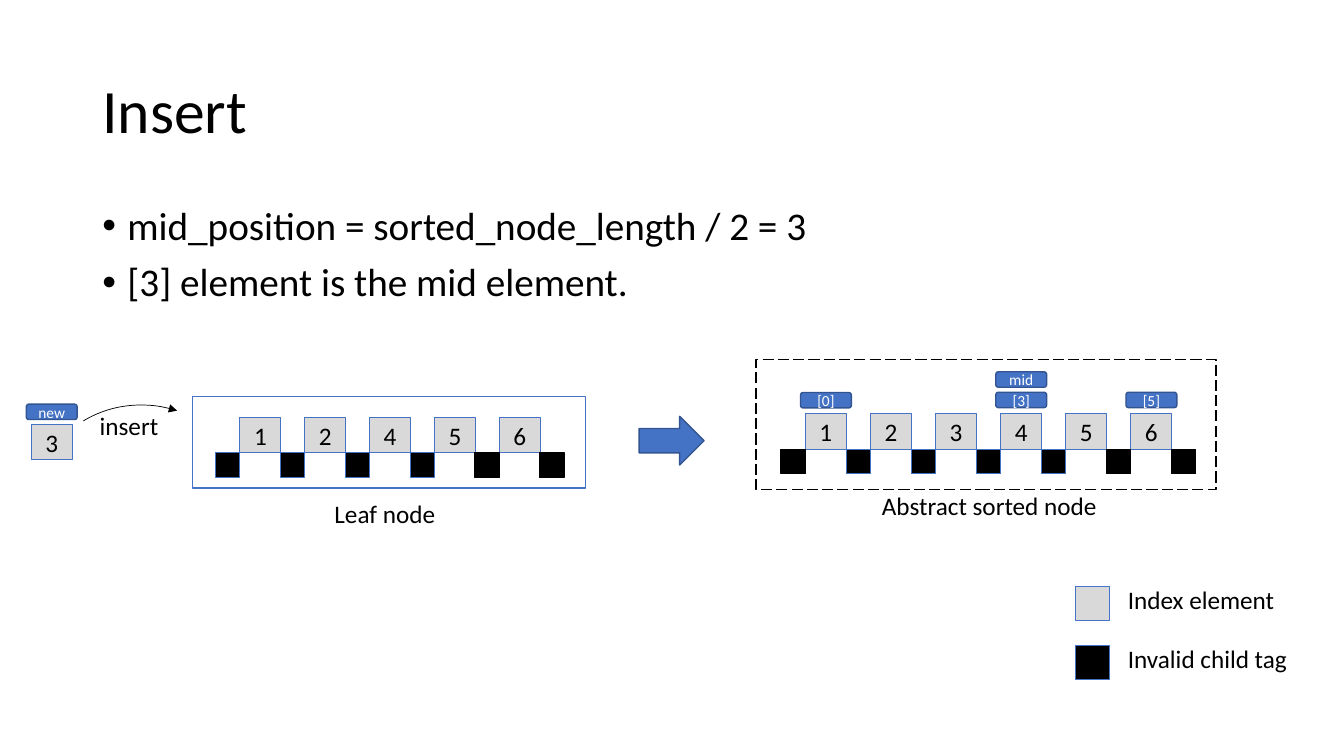
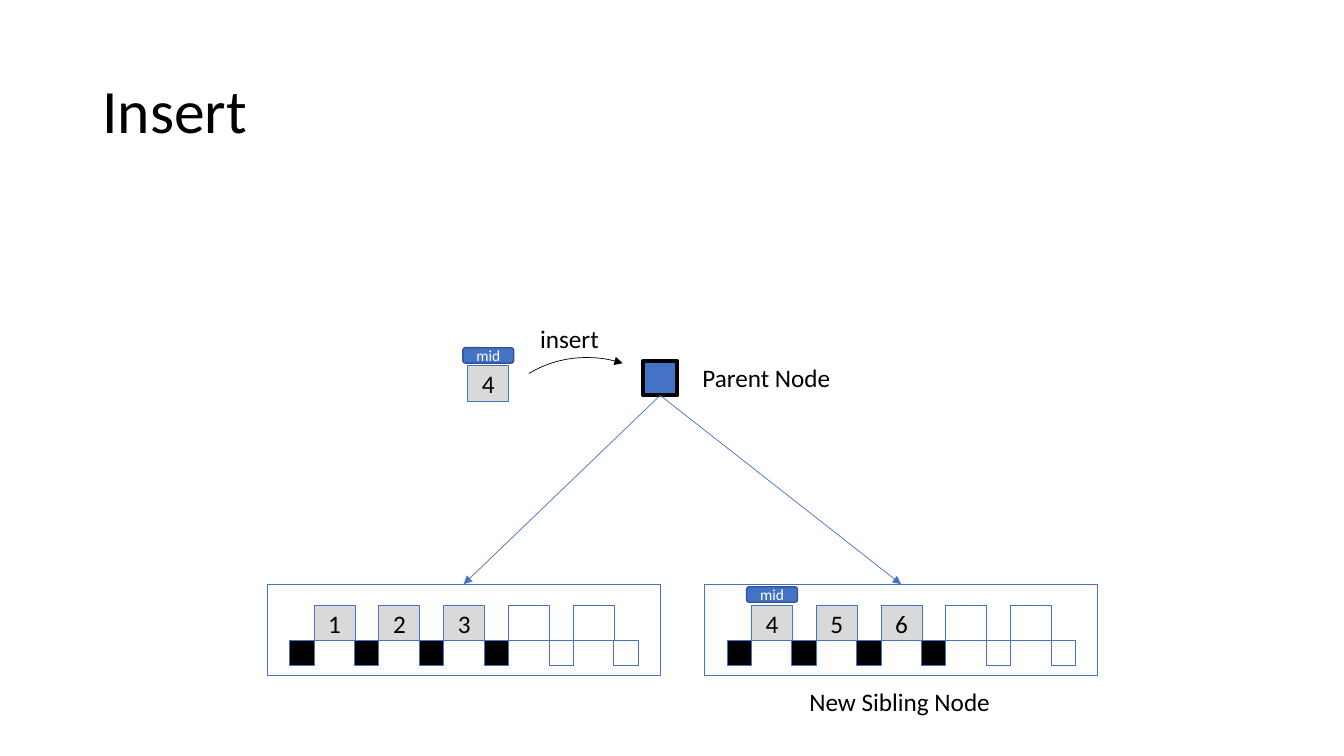
from lxml import etree
from pptx import Presentation
from pptx.dml.color import RGBColor
from pptx.enum.dml import MSO_LINE
from pptx.enum.shapes import MSO_CONNECTOR, MSO_SHAPE
from pptx.enum.text import MSO_ANCHOR, MSO_AUTO_SIZE, PP_ALIGN
from pptx.oxml.ns import qn
from pptx.util import Pt

RECTANGLE = MSO_SHAPE.RECTANGLE
ROUNDED = MSO_SHAPE.ROUNDED_RECTANGLE
ARC = MSO_SHAPE.ARC
RIGHT_ARROW = MSO_SHAPE.RIGHT_ARROW
STRAIGHT = MSO_CONNECTOR.STRAIGHT
LONG_DASH = MSO_LINE.LONG_DASH
TOP, MIDDLE = MSO_ANCHOR.TOP, MSO_ANCHOR.MIDDLE
LEFT, CENTER = PP_ALIGN.LEFT, PP_ALIGN.CENTER
FIT_TEXT = MSO_AUTO_SIZE.SHAPE_TO_FIT_TEXT

COLORS = {"black": "000000", "white": "FFFFFF", "gray": "D9D9D9",
          "blue": "4472C4", "navy": "325491"}
FONT = "Calibri"
ELEMENT_WIDTH, ELEMENT_HEIGHT = 29.3, 25.4
TAG_SIZE = 17.4
FRAME_WIDTH, FRAME_HEIGHT = 280.8, 65.5
FRAME_INSET_X, FRAME_INSET_Y = 33.6, 15
PITCH = 46.3
ABSTRACT_PITCH = 46.5
PILL_OVERHANG = 3.5

CELL = dict(shape_type=RECTANGLE, fill="gray", line="blue")
FRAME = dict(shape_type=RECTANGLE, line="blue")
PILL = dict(shape_type=ROUNDED, fill="blue", line="navy", weight=1, size=11, color="white")
PILL_SIZE = (ELEMENT_WIDTH + 2 * PILL_OVERHANG, 11)


def add_item(shapes, text, left, top, width, height, shape_type=None, fill=None, line=None,
             weight=0.75, size=18, color="black", wrap=False, anchor=TOP, bullet=False,
             line_spacing=None, space_before=0):
    box = (Pt(left), Pt(top), Pt(width), Pt(height))
    if shape_type is None:
        shape = shapes.add_textbox(*box)
    else:
        shape = shapes.add_shape(shape_type, *box)
        shape.shadow.inherit = False
        if fill:
            shape.fill.solid()
            shape.fill.fore_color.rgb = RGBColor.from_string(COLORS[fill])
        else:
            shape.fill.background()
        shape.line.color.rgb = RGBColor.from_string(COLORS[line])
        shape.line.width = Pt(weight)
    if not text:
        return shape
    frame = shape.text_frame
    frame.word_wrap = wrap
    if shape_type is not None:
        frame.margin_left = frame.margin_right = frame.margin_top = frame.margin_bottom = 0
    elif not wrap:
        frame.auto_size = FIT_TEXT
    frame.vertical_anchor = anchor if shape_type is None else MIDDLE
    frame.text = text
    for paragraph in frame.paragraphs:
        paragraph.alignment = LEFT if shape_type is None else CENTER
        paragraph.line_spacing = line_spacing
        paragraph.space_before = Pt(space_before)
        paragraph.font.name = FONT
        paragraph.font.size = Pt(size)
        paragraph.font.color.rgb = RGBColor.from_string(COLORS[color])
        if bullet:
            properties = paragraph._p.get_or_add_pPr()
            properties.set("marL", str(Pt(18)))
            properties.set("indent", str(-Pt(18)))
            bullet_font = etree.Element(qn("a:buFont"), typeface="Arial")
            bullet_mark = etree.Element(qn("a:buChar"), char="•")
            default_run = properties.find(qn("a:defRPr"))
            default_run.addprevious(bullet_font)
            default_run.addprevious(bullet_mark)
    return shape


def add_node(shapes, left, top, labels, pitch=PITCH, black_edges=()):
    for index, label in enumerate(labels):
        add_item(shapes, label, left + index * pitch, top, ELEMENT_WIDTH, ELEMENT_HEIGHT,
                 **{**CELL, "fill": "gray" if label else "white"})
    used = sum(1 for label in labels if label)
    for index in range(len(labels) + 1):
        add_item(shapes, "", left - TAG_SIZE + index * pitch, top + ELEMENT_HEIGHT,
                 TAG_SIZE, TAG_SIZE, shape_type=RECTANGLE,
                 fill="black" if index <= used else "white",
                 line="black" if index in black_edges else "blue")


presentation = Presentation()
presentation.slide_width, presentation.slide_height = Pt(960), Pt(540)
blank_layout = presentation.slide_layouts[6]

inserts = [
    {"element": ("3", 22.3, 303.1), "pill": ("new", 288.7),
     "arc": (23, 287.3), "caption": (64.1, 289.4)},
    {"element": ("4", 334.1, 261.4), "pill": ("mid", 248.4),
     "arc": (341.3, 253.4), "caption": (378.7, 227.5)},
]
slides = []
for insert in inserts:
    slide = presentation.slides.add_slide(blank_layout)
    slides.append(slide)
    add_item(slide.shapes, "Insert", 66, 28.8, 828, 104.4, size=44, wrap=True,
             anchor=MIDDLE, line_spacing=0.9)
    label, left, top = insert["element"]
    add_item(slide.shapes, label, left, top, ELEMENT_WIDTH, ELEMENT_HEIGHT, **CELL)
    label, top = insert["pill"]
    add_item(slide.shapes, label, left - PILL_OVERHANG, top, *PILL_SIZE, **PILL)
    arc = add_item(slide.shapes, "", *insert["arc"], 168.5, 183.6,
                   shape_type=ARC, line="black", weight=0.5)
    arc.adjustments[0] = 162
    arc.adjustments[1] = 188.39
    arc.rotation = 328.7
    etree.SubElement(arc._element.spPr.find(qn("a:ln")), qn("a:tailEnd"), type="triangle")
    add_item(slide.shapes, "insert", *insert["caption"], 56.9, 29)

sort_slide, split_slide = slides

shapes = sort_slide.shapes
add_item(shapes, "mid_position = sorted_node_length / 2 = 3\n[3] element is the mid element.",
         66, 144, 828, 342.6, size=28, wrap=True, bullet=True, line_spacing=0.9, space_before=10)

leaf_left, leaf_top = 137.8, 283.1
leaf_shapes = shapes.add_group_shape().shapes
add_item(leaf_shapes, "", leaf_left, leaf_top, FRAME_WIDTH, FRAME_HEIGHT, **FRAME)
add_node(leaf_shapes, leaf_left + FRAME_INSET_X, leaf_top + FRAME_INSET_Y,
         ["1", "2", "4", "5", "6"], black_edges=(4, 5))
add_item(shapes, "", 456.5, 297.4, 46.4, 34.8,
         shape_type=RIGHT_ARROW, fill="blue", line="navy", weight=1)

abstract_left = 575.3
abstract_frame = add_item(shapes, "", 540, 256.8, 328.6, 92.9,
                          shape_type=RECTANGLE, line="black", weight=1)
abstract_frame.line.dash_style = LONG_DASH
add_node(shapes, abstract_left, 295.7, ["1", "2", "3", "4", "5", "6"],
         pitch=ABSTRACT_PITCH, black_edges=(0, 5, 6))
for label, index, top in [("[0]", 0, 280.4), ("mid", 3, 265.6), ("[3]", 3, 280.2), ("[5]", 5, 280.2)]:
    add_item(shapes, label, abstract_left + index * ABSTRACT_PITCH - PILL_OVERHANG, top,
             *PILL_SIZE, **PILL)

for label, left, top, width in [("Leaf node", 231.8, 352.1, 87.8),
                                ("Abstract sorted node", 622.8, 346.5, 169.2)]:
    add_item(shapes, label, left, top, width, 29)
for row, (label, fill, width) in enumerate([("Index element", "gray", 120.2),
                                            ("Invalid child tag", "black", 129.6)]):
    top = 419 + row * 41.8
    add_item(shapes, "", 768.2, top, 24.5, 24.5, shape_type=RECTANGLE, fill=fill, line="blue")
    add_item(shapes, label, 798.5, top - 5, width, 29)

shapes = split_slide.shapes
parent = add_item(shapes, "", 459.3, 257.8, 24.6, 24.6,
                  shape_type=RECTANGLE, fill="blue", line="black", weight=3)
sibling_top = 417.3
for left, labels in [(190.8, ["1", "2", "3", "", ""]), (503.2, ["4", "5", "6", "", ""])]:
    frame = add_item(shapes, "", left, sibling_top, FRAME_WIDTH, FRAME_HEIGHT, **FRAME)
    add_node(shapes, left + FRAME_INSET_X, sibling_top + FRAME_INSET_Y, labels)
    connector = shapes.add_connector(STRAIGHT, 0, 0, 0, 0)
    connector.begin_connect(parent, 2)
    connector.end_connect(frame, 0)
    connector.line.color.rgb = RGBColor.from_string(COLORS["blue"])
    connector.line.width = Pt(0.5)
    properties = connector._element.spPr
    etree.SubElement(properties.find(qn("a:ln")), qn("a:tailEnd"), type="triangle")
    etree.SubElement(properties, qn("a:effectLst"))
add_item(shapes, "mid", 533.3, 419.2, *PILL_SIZE, **PILL)
for label, left, top, width in [("Parent Node", 494.6, 254.9, 107.3),
                                ("New Sibling Node", 571, 486.7, 145.4)]:
    add_item(shapes, label, left, top, width, 29)

presentation.save("out.pptx")
